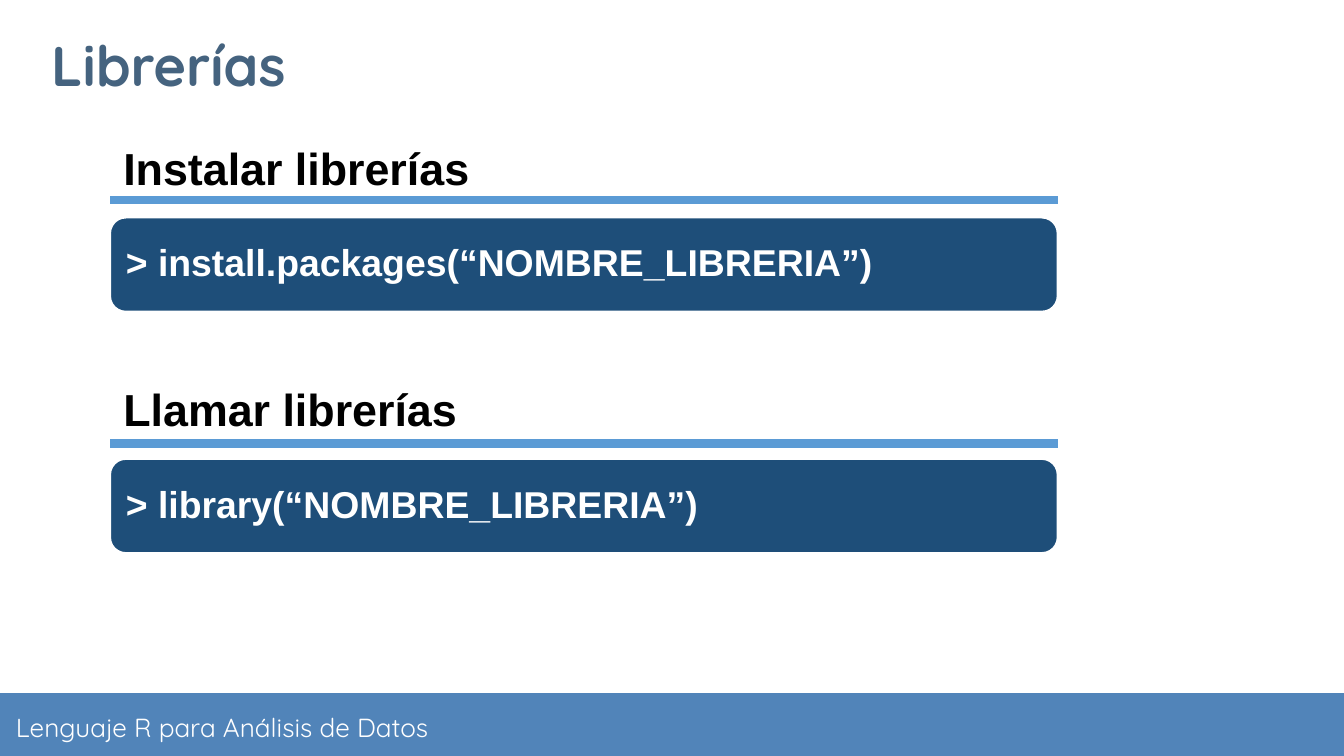
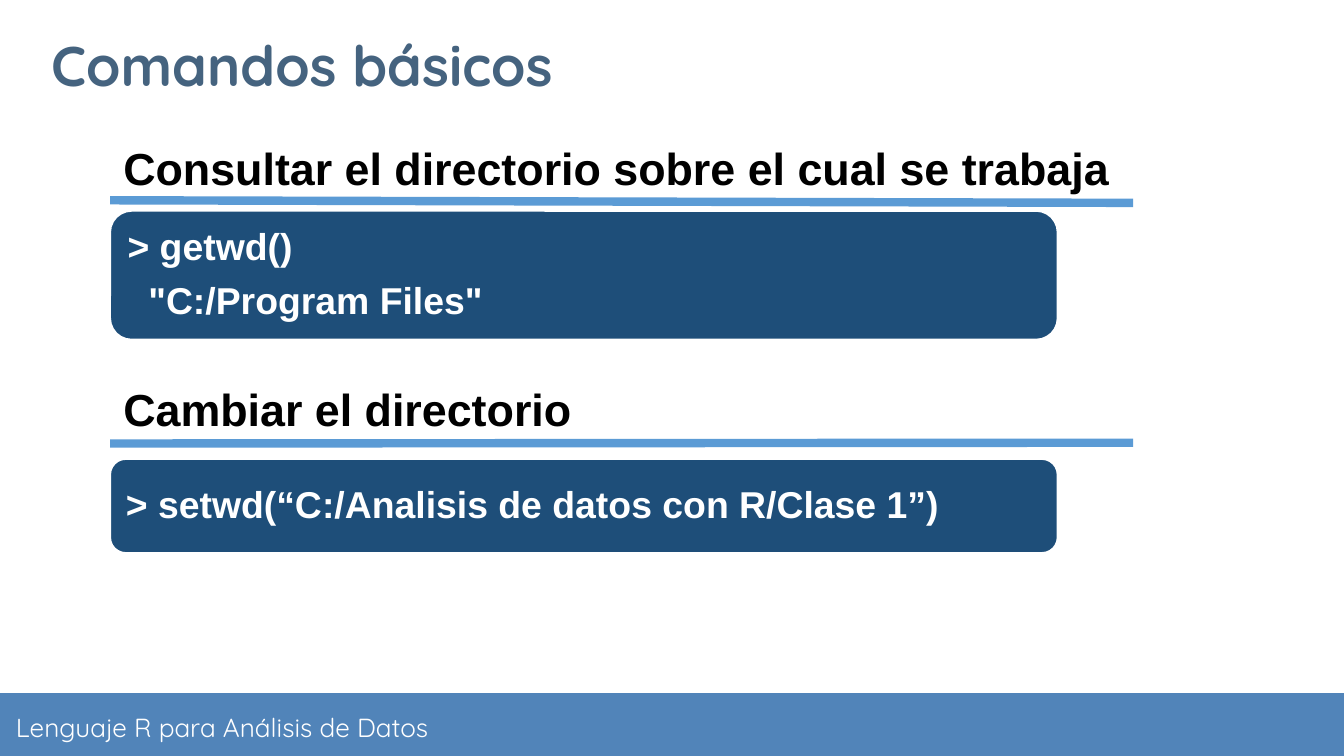
from dataclasses import dataclass

from lxml import etree
from pptx import Presentation
from pptx.dml.color import RGBColor
from pptx.enum.shapes import MSO_CONNECTOR, MSO_SHAPE
from pptx.enum.text import MSO_ANCHOR, MSO_AUTO_SIZE, PP_ALIGN
from pptx.oxml.ns import qn
from pptx.util import Pt

ROUNDED = MSO_SHAPE.ROUNDED_RECTANGLE
RECTANGLE = MSO_SHAPE.RECTANGLE
STRAIGHT = MSO_CONNECTOR.STRAIGHT
MIDDLE, TOP = MSO_ANCHOR.MIDDLE, MSO_ANCHOR.TOP
LEFT = PP_ALIGN.LEFT
NO_AUTOFIT = MSO_AUTO_SIZE.NONE

WHITE = RGBColor(0xFF, 0xFF, 0xFF)
BLACK = RGBColor(0x00, 0x00, 0x00)
BAND_BLUE = RGBColor(0x51, 0x84, 0xB9)
TITLE_BLUE = RGBColor(0x45, 0x63, 0x7F)
CODE_BLUE = RGBColor(0x1E, 0x4E, 0x79)
RULE_BLUE = RGBColor(0x5B, 0x9B, 0xD5)

DISPLAY_FONT, BODY_FONT = "Quicksand", "Arial"
SLIDE_WIDTH, SLIDE_HEIGHT = 720, 405
BAND_TOP = 371.3
FOOTER = "Lenguaje R para Análisis de Datos"
TITLE_ONLY = 5

MARGIN = 59
CODE_WIDTH = 507.6
HEADING_HEIGHT = 36
OUTPUT_INDENT = 11.1


@dataclass(frozen=True)
class Section:
    """A heading, its rule and the box of code below; lengths in points."""

    heading: str
    heading_top: float
    heading_width: float
    rule_start: float
    rule_end: float
    code_top: float
    command: str
    output: str = ""
    code_height: float = 50.4


@dataclass(frozen=True)
class Page:
    """A slide's title, the right end of its rules, and its sections."""

    title: str
    rule_right: float
    sections: tuple[Section, ...]


PAGES = (
    Page("Librerías", 566.6, (
        Section("Instalar librerías", 72, 201.6, 107.3, 107.3, 116.6,
                "> install.packages(“NOMBRE_LIBRERIA”)"),
        Section("Llamar librerías", 200.9, 195.1, 237.6, 237.6, 245.9,
                "> library(“NOMBRE_LIBRERIA”)"),
    )),
    Page("Comandos básicos", 607, (
        Section("Consultar el directorio sobre el cual se trabaja",
                72, 548, 107.3, 108.7, 113,
                "> getwd()", '"C:/Program Files"', 69),
        Section("Cambiar el directorio", 200.9, 257, 237.6, 237.2, 245.9,
                "> setwd(“C:/Analisis de datos con R/Clase 1”)"),
    )),
)


def place(shape, left: float, top: float, width: float, height: float) -> None:
    """Move and size a shape, in points."""
    shape.left, shape.top = Pt(left), Pt(top)
    shape.width, shape.height = Pt(width), Pt(height)


def format_text(shape, font: str, size: float, color: RGBColor, bold: bool,
                anchor, inset_x: float, inset_y: float) -> None:
    """Set the insets, alignment and font of all text in a shape."""
    frame = shape.text_frame
    frame.auto_size = NO_AUTOFIT
    frame.word_wrap = True
    frame.vertical_anchor = anchor
    frame.margin_left = frame.margin_right = Pt(inset_x)
    frame.margin_top = frame.margin_bottom = Pt(inset_y)
    for paragraph in frame.paragraphs:
        paragraph.alignment = LEFT
        for run in paragraph.runs:
            run.font.name = font
            run.font.size = Pt(size)
            run.font.bold = bold
            run.font.color.rgb = color


def add_label(slide, text: str, left: float, top: float, width: float,
              height: float):
    """Add a text box and return it, ready to be formatted."""
    label = slide.shapes.add_textbox(Pt(left), Pt(top), Pt(width), Pt(height))
    label.text_frame.text = text
    return label


def add_footer(slide) -> None:
    """Draw the band at the foot and the course name on it."""
    band = slide.shapes.add_shape(
        RECTANGLE, Pt(0), Pt(BAND_TOP), Pt(SLIDE_WIDTH),
        Pt(SLIDE_HEIGHT - BAND_TOP))
    band.shadow.inherit = False
    band.fill.solid()
    band.fill.fore_color.rgb = BAND_BLUE
    band.line.fill.background()
    label = add_label(slide, FOOTER, 1.4, 372.5, 358, 33.8)
    format_text(label, DISPLAY_FONT, 14, WHITE, False, MIDDLE, 7.2, 7.2)


def set_title(slide, text: str) -> None:
    """Fill and format the title placeholder."""
    title = slide.shapes.title
    place(title, 20.2, 15.8, 474.5, 36.7)
    title.text_frame.text = text
    format_text(title, DISPLAY_FONT, 30, TITLE_BLUE, True, MIDDLE, 7.2, 7.2)


def add_rule(slide, start: float, right: float, end: float) -> None:
    """Draw the thick line below a heading."""
    rule = slide.shapes.add_connector(
        STRAIGHT, Pt(MARGIN), Pt(start), Pt(right), Pt(end))
    rule.line.color.rgb = RULE_BLUE
    rule.line.width = Pt(4.5)
    properties = rule.line._get_or_add_ln().getparent()
    etree.SubElement(properties, qn("a:effectLst"))


def add_code(slide, section: Section) -> None:
    """Draw the rounded box with a command and its output, if any."""
    box = slide.shapes.add_shape(
        ROUNDED, Pt(MARGIN), Pt(section.code_top), Pt(CODE_WIDTH),
        Pt(section.code_height))
    box.shadow.inherit = False
    box.fill.solid()
    box.fill.fore_color.rgb = CODE_BLUE
    box.line.color.rgb = WHITE
    box.line.width = Pt(1)
    frame = box.text_frame
    frame.text = section.command
    if section.output:
        output = frame.add_paragraph()
        output.text = section.output
        output.space_before = Pt(7)
        output._p.get_or_add_pPr().set("marL", str(Pt(OUTPUT_INDENT)))
    for paragraph in frame.paragraphs:
        paragraph.line_spacing = 0.9
    format_text(box, BODY_FONT, 20, WHITE, True, MIDDLE, 6, 6)


def add_section(slide, section: Section, rule_right: float) -> None:
    """Draw a code box with its heading and rule."""
    add_code(slide, section)
    heading = add_label(slide, section.heading, MARGIN, section.heading_top,
                        section.heading_width, HEADING_HEIGHT)
    format_text(heading, BODY_FONT, 24, BLACK, True, TOP, 7.2, 3.6)
    heading.text_frame.word_wrap = False
    add_rule(slide, section.rule_start, rule_right, section.rule_end)


def build_presentation() -> None:
    """Build and save every page."""
    presentation = Presentation()
    presentation.slide_width = Pt(SLIDE_WIDTH)
    presentation.slide_height = Pt(SLIDE_HEIGHT)
    for page in PAGES:
        slide = presentation.slides.add_slide(
            presentation.slide_layouts[TITLE_ONLY])
        add_footer(slide)
        set_title(slide, page.title)
        for section in page.sections:
            add_section(slide, section, page.rule_right)
    presentation.save("out.pptx")


build_presentation()
